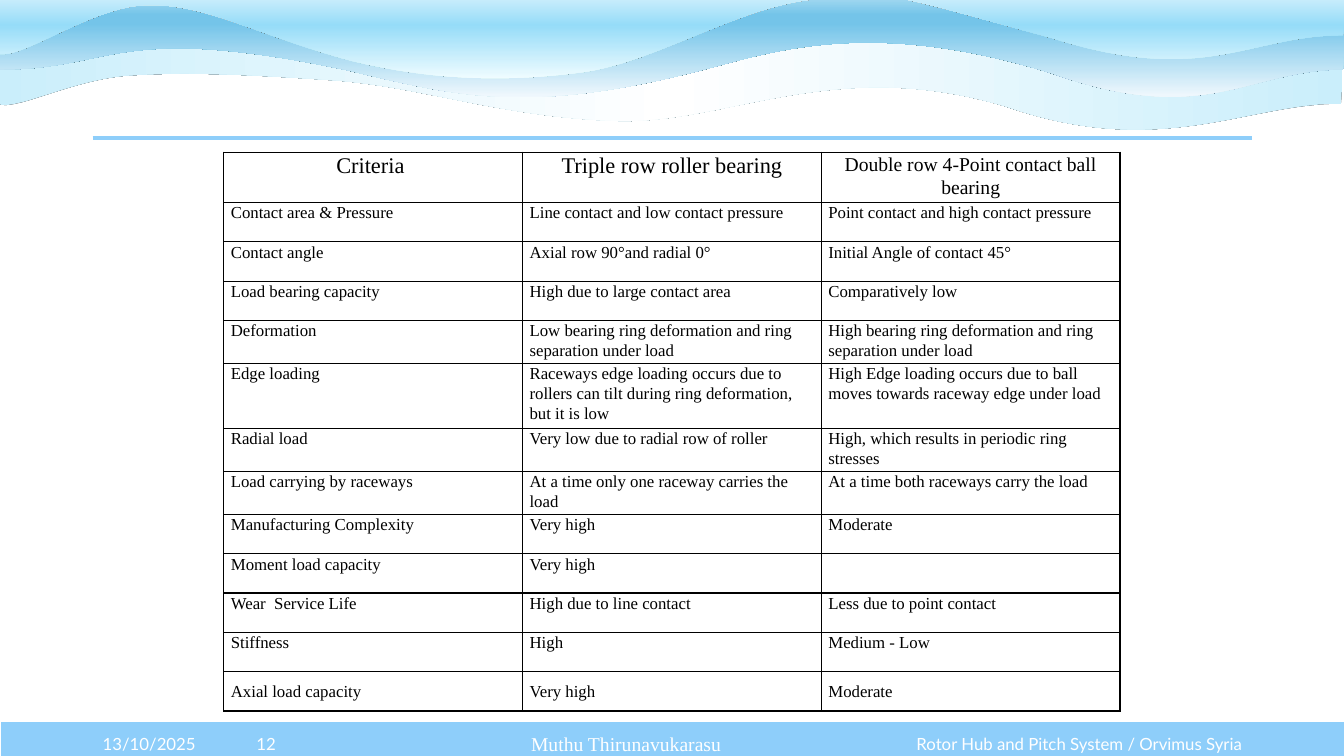
from dataclasses import dataclass

from lxml import etree
from pptx import Presentation
from pptx.dml.color import RGBColor
from pptx.enum.shapes import MSO_CONNECTOR, MSO_SHAPE
from pptx.enum.text import MSO_ANCHOR, PP_ALIGN
from pptx.oxml import parse_xml
from pptx.oxml.ns import nsdecls, qn
from pptx.util import Inches, Pt

LEFT, CENTER, RIGHT = PP_ALIGN.LEFT, PP_ALIGN.CENTER, PP_ALIGN.RIGHT
TOP, MIDDLE = MSO_ANCHOR.TOP, MSO_ANCHOR.MIDDLE
RECTANGLE = MSO_SHAPE.RECTANGLE
STRAIGHT = MSO_CONNECTOR.STRAIGHT


@dataclass(frozen=True)
class Theme:
    accent: str = "8ECEFA"
    white: str = "FFFFFF"
    black: str = "000000"
    sans: str = "Lato"
    serif: str = "Times New Roman"
    body: int = 12
    medium: int = 14
    large: int = 16


THEME = Theme()

# Each wave: box, start point, segments (two numbers for a line, six for a
# curve), gradient stops and gradient angle.
LOW_WAVE = (
    (-0.04, 0.3, 13.36, 0.98), (13.3, 1.03),
    [(12.37, 1.02, 11.52, 1.59, 9.99, 1.06), (8.27, 0.54, 7.21, 1.24, 6.1, 1.2),
     (4.99, 1.16, 4.21, 0.87, 3.35, 0.8), (2.49, 0.74, 1.83, 0.71, 1.27, 0.75),
     (0.71, 0.79, 0.14, 1.11, -0.02, 1.03), (-0.02, 0.8, -0.04, 0.53, -0.04, 0.3),
     (3.13, 0.31), (6.52, 0.34), (9.41, 0.32), (13.32, 0.34),
     (13.32, 0.55, 13.32, 0.8, 13.3, 1.03)],
    [(0, "CAEEFB"), (50, "FFFFFF"), (100, "CAEEFB")], 0,
)
MIDDLE_WAVE = (
    (0, -0.02, 13.33, 0.98), (13.32, 0.69),
    [(12.39, 0.69, 11.96, 1.27, 10.44, 0.73), (8.71, 0.19, 7.73, 0.49, 7.06, 0.67),
     (5.28, 1.14, 4.59, 0.97, 3.46, 0.7), (1.13, 0.21, 1.15, 0.69, 0, 0.69),
     (0, 0.46, 0.01, 0.23, 0.01, -0.01),
     (3.13, 0), (6.54, -0.02), (9.46, -0.01), (13.33, 0.03),
     (13.33, 0.25, 13.34, 0.46, 13.32, 0.69)],
    [(0, "A2D8F0"), (17, "74C4E9"), (26, "74C4E9"), (100, "F0F8FD")], 90,
)
TOP_WAVE = (
    (-0.03, -0.28, 13.36, 1.06), (13.32, 0.35),
    [(12.39, 0.35, 11.96, 0.86, 10.44, 0.38), (8.72, -0.09, 8.91, -0.07, 8.13, -0.01),
     (7.35, 0.04, 6.53, 0.62, 5.76, 0.72), (4.98, 0.82, 4.24, 0.79, 3.47, 0.6),
     (2.58, 0.36, 2.07, 0.05, 1.5, 0.05), (0.92, 0.04, 0.22, 0.61, -0.03, 0.53),
     (-0.02, 0.32, 0.01, -0.06, 0.01, -0.27),
     (3.13, -0.26), (6.54, -0.28), (9.46, -0.27), (13.33, -0.24),
     (13.33, -0.04, 13.34, 0.14, 13.32, 0.35)],
    [(0, "FFFFFF"), (50, "96DCF8"), (100, "EFFCFF")], 90,
)

HEADINGS = [
    ("Criteria ", THEME.large),
    ("Triple row roller bearing", THEME.large),
    ("Double row 4-Point contact ball bearing", THEME.medium),
]
CRITERIA = [
    ("Contact area & Pressure", "Line contact and low contact pressure",
     "Point contact and high contact pressure"),
    ("Contact angle", "Axial row 90°and radial 0°", "Initial Angle of contact 45°"),
    ("Load bearing capacity", "High due to large contact area", "Comparatively low"),
    ("Deformation", "Low bearing ring deformation and ring separation under load",
     "High bearing ring deformation and ring separation under load"),
    ("Edge loading",
     "Raceways edge loading occurs due to rollers can tilt during ring deformation, but it is low",
     "High Edge loading occurs due to ball moves towards raceway edge under load"),
    ("Radial load", "Very low due to radial row of roller",
     "High, which results in periodic ring stresses"),
    ("Load carrying by raceways", "At a time only one raceway carries the load",
     "At a time both raceways carry the load"),
    ("Manufacturing Complexity", "Very high", "Moderate"),
    ("Moment load capacity", "Very high", ""),
    ("Wear  Service Life", "High due to line contact", "Less due to point contact"),
    ("Stiffness", "High", "Medium - Low"),
    ("Axial load capacity", "Very high", "Moderate"),
]


def rgb(color):
    return RGBColor.from_string(color)


def add_segment(outline, tag, numbers, left, top):
    """Append one outline command, with its points relative to the wave's box."""
    command = etree.SubElement(outline, qn(tag))
    for x, y in zip(numbers[::2], numbers[1::2]):
        etree.SubElement(command, qn("a:pt"), x=str(Inches(x - left)), y=str(Inches(y - top)))


def add_wave(slide, wave):
    (left, top, width, height), start, segments, stops, angle = wave
    right, bottom = left + width, top + height
    builder = slide.shapes.build_freeform(Inches(left), Inches(top))
    corners = [(right, top), (right, bottom), (left, bottom)]
    builder.add_line_segments([(Inches(x), Inches(y)) for x, y in corners], close=True)
    shape = builder.convert_to_shape()
    shape.line.fill.background()
    properties = shape._element.spPr

    outline = next(properties.iter(qn("a:path")))
    for command in list(outline):
        outline.remove(command)
    add_segment(outline, "a:moveTo", start, left, top)
    for segment in segments:
        tag = "a:lnTo" if len(segment) == 2 else "a:cubicBezTo"
        add_segment(outline, tag, segment, left, top)
    etree.SubElement(outline, qn("a:close"))

    stop_xml = "".join(f'<a:gs pos="{position * 1000}"><a:srgbClr val="{color}"/></a:gs>'
                       for position, color in stops)
    gradient = parse_xml(f'<a:gradFill {nsdecls("a")} rotWithShape="1"><a:gsLst>{stop_xml}</a:gsLst>'
                         f'<a:lin ang="{angle * 60000}" scaled="0"/></a:gradFill>')
    shadow = parse_xml(f'<a:effectLst {nsdecls("a")}><a:outerShdw blurRad="0" dist="0" dir="0">'
                       f'<a:srgbClr val="{THEME.black}"/></a:outerShdw></a:effectLst>')
    properties.find(qn("a:custGeom")).addnext(gradient)
    properties.append(shadow)


def add_footer_bar(slide):
    bar = slide.shapes.add_shape(RECTANGLE, 0, Inches(7.15), Inches(13.35), Inches(0.4))
    bar.shadow.inherit = False
    bar.fill.solid()
    bar.fill.fore_color.rgb = rgb(THEME.accent)
    bar.line.color.rgb = rgb(THEME.white)
    bar.line.width = Pt(1.5)


def add_header_rule(slide):
    rule = slide.shapes.add_connector(STRAIGHT, Inches(0.92), Inches(1.37), Inches(12.42), Inches(1.37))
    rule.line.color.rgb = rgb(THEME.accent)
    rule.line.width = Pt(3)
    etree.SubElement(rule._element.spPr, qn("a:effectLst"))


def write(paragraph, text, size, font, color, alignment):
    paragraph.alignment = alignment
    run = paragraph.add_run()
    run.text = text
    run.font.size = Pt(size)
    run.font.name = font
    run.font.color.rgb = rgb(color)


def add_footer_text(slide, left, width, text, alignment, size=THEME.body, font=THEME.sans):
    box = slide.shapes.add_textbox(Inches(left), Inches(7.18), Inches(width), Inches(0.4))
    frame = box.text_frame
    frame.word_wrap = True
    frame.vertical_anchor = MIDDLE
    write(frame.paragraphs[0], text, size, font, THEME.white, alignment)


def add_cell_borders(cell):
    properties = cell._tc.get_or_add_tcPr()
    for index, side in enumerate(("lnL", "lnR", "lnT", "lnB")):
        border = parse_xml(f'<a:{side} {nsdecls("a")} w="{Pt(1)}"><a:solidFill>'
                           f'<a:srgbClr val="{THEME.black}"/></a:solidFill></a:{side}>')
        properties.insert(index, border)


def fill_cell(cell, text, size, alignment, anchor):
    cell.fill.background()
    cell.margin_left = cell.margin_right = Inches(0.07)
    cell.margin_top = cell.margin_bottom = 0
    cell.vertical_anchor = anchor
    add_cell_borders(cell)
    if text:
        paragraph = cell.text_frame.paragraphs[0]
        paragraph.line_spacing = 1.07
        paragraph.space_after = Pt(8)
        write(paragraph, text, size, THEME.serif, THEME.black, alignment)


def add_bearing_table(slide):
    row_height = Inches(0.39)
    row_count = len(CRITERIA) + 1
    table = slide.shapes.add_table(row_count, len(HEADINGS), Inches(2.22), Inches(1.51),
                                   Inches(8.89), row_height * row_count).table
    table.first_row = table.horz_banding = False
    for column, (heading, size) in enumerate(HEADINGS):
        fill_cell(table.cell(0, column), heading, size, CENTER, TOP)
    for row, texts in enumerate(CRITERIA, start=1):
        anchor = MIDDLE if row == len(CRITERIA) else TOP
        for column, text in enumerate(texts):
            fill_cell(table.cell(row, column), text, THEME.body, LEFT, anchor)


def main():
    presentation = Presentation()
    presentation.slide_width = Inches(13.33)
    presentation.slide_height = Inches(7.5)
    slide = presentation.slides.add_slide(presentation.slide_layouts[6])

    add_footer_bar(slide)
    for wave in (LOW_WAVE, MIDDLE_WAVE, TOP_WAVE):
        add_wave(slide, wave)
    add_header_rule(slide)
    add_footer_text(slide, 0.92, 1.22, "13/10/2025", LEFT)
    add_footer_text(slide, 8.73, 3.69, "Rotor Hub and Pitch System / Orvimus Syria", RIGHT)
    add_footer_text(slide, 2.13, 1.02, "12", CENTER)
    add_footer_text(slide, 3.15, 6.12, "Muthu Thirunavukarasu", CENTER, THEME.medium, THEME.serif)
    add_bearing_table(slide)
    presentation.save("out.pptx")


if __name__ == "__main__":
    main()
